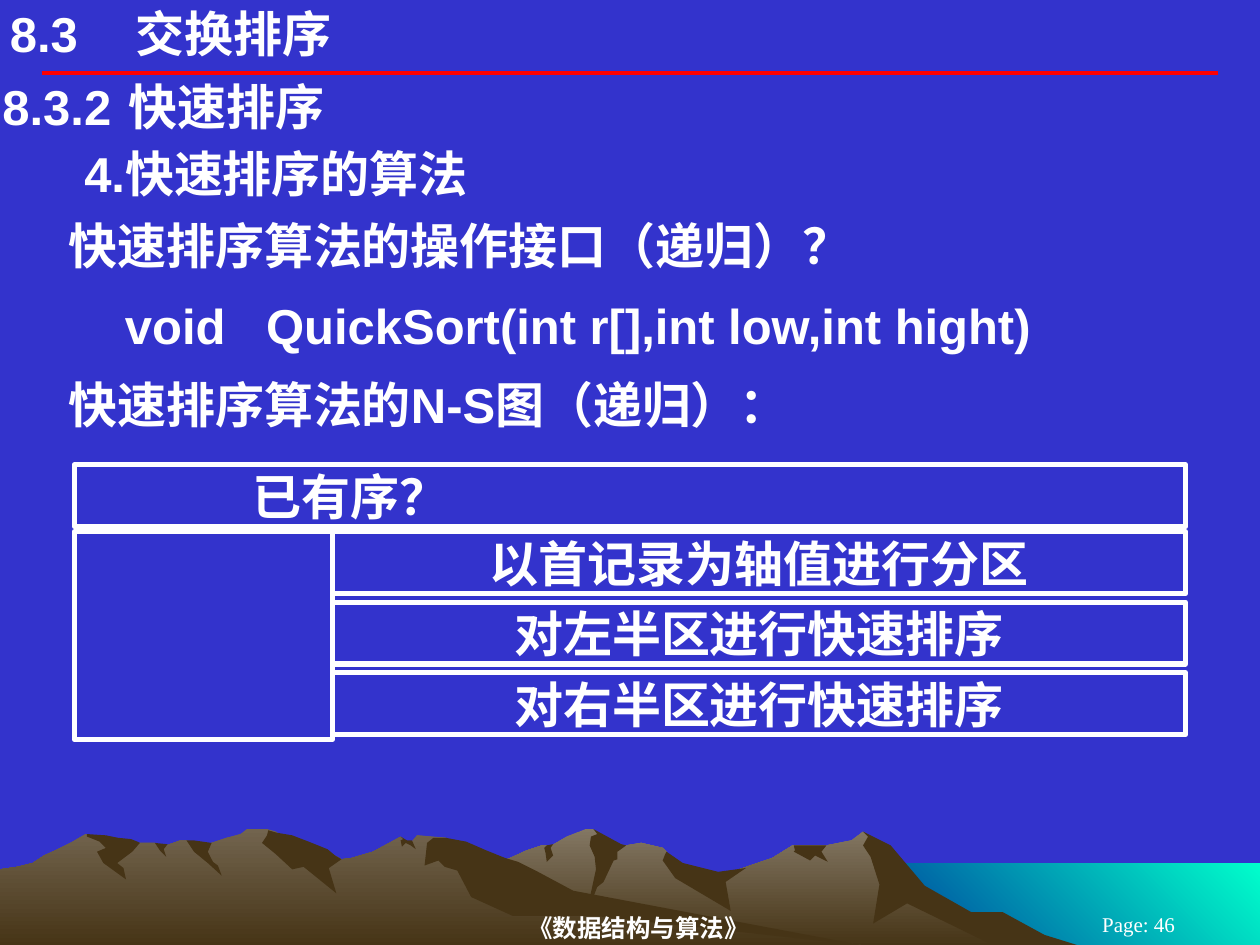
"""Build the quick sort slide with its N-S diagram and mountain footer."""
from lxml import etree
from pptx import Presentation
from pptx import util as u
from pptx.dml.color import RGBColor
from pptx.enum import shapes, text
from pptx.oxml.ns import qn

COLORS = {
    "sky": "3333CC", "white": "FFFFFF", "rule": "FF0000", "shade": "463416",
    "ridge": "72644E", "peak": "837763", "sea": "00FFCC", "deep": "003399",
}
UNIT = u.Cm(2.54) / 100

SEA = [(1000, 752), (683, 752), (683, 685), (1000, 685)]
FAR_RIDGE = [
    (802, 740), (778, 727), (764, 723), (723, 698), (702, 671), (685, 660),
    (676, 667), (656, 671), (629, 671), (613, 681), (566, 697), (536, 690),
    (529, 676), (526, 673), (509, 669), (497, 671), (486, 673), (474, 661),
    (471, 658), (465, 658), (450, 664), (438, 671), (430, 671), (418, 675),
    (405, 681), (394, 685), (355, 698), (327, 709), (277, 739), (258, 751),
    (821, 751),
]
NEAR_RIDGE = [
    (690, 751), (667, 748), (432, 712), (354, 665), (331, 663), (327, 668),
    (323, 668), (318, 664), (296, 676), (279, 681), (271, 682), (260, 676),
    (236, 681), (223, 663), (219, 660), (212, 658), (196, 658), (191, 662),
    (180, 665), (168, 669), (160, 671), (148, 667), (143, 667), (132, 671),
    (128, 671), (123, 669), (111, 669), (94, 671), (68, 662), (56, 669),
    (46, 674), (35, 679), (26, 685), (14, 688), (0, 690), (0, 751),
]
FAR_SHADES = [
    [(796, 724), (771, 724), (734, 703), (707, 671), (685, 660), (689, 664),
     (685, 671), (691, 680), (698, 702), (693, 733), (720, 717), (792, 752),
     (858, 751), (829, 742)],
    [(471, 658), (474, 662), (469, 664), (468, 671), (472, 680), (473, 690),
     (465, 727), (474, 704), (479, 700), (487, 683), (490, 682), (490, 676),
     (497, 671), (493, 670)],
    [(529, 676), (528, 678), (526, 683), (536, 697), (580, 723), (576, 700),
     (592, 689), (570, 692), (542, 685)],
    [(650, 671), (630, 671), (631, 675), (630, 676), (643, 683), (647, 679),
     (657, 684), (652, 676), (656, 671)],
    [(433, 677), (432, 673), (434, 671), (439, 670), (437, 673), (439, 679),
     (434, 684)],
]
NEAR_SHADES = [
    [(212, 663), (208, 669), (219, 678), (232, 690), (241, 688), (267, 709),
     (261, 689), (271, 682), (266, 679), (260, 674), (245, 668), (232, 663),
     (220, 661), (213, 659)],
    [(370, 668), (354, 665), (344, 665), (339, 669), (337, 687), (348, 683),
     (353, 688), (363, 691), (374, 712), (407, 727), (472, 727), (690, 751),
     (683, 750), (455, 707), (427, 692), (411, 684), (401, 681), (386, 675)],
    [(318, 667), (320, 666), (318, 664), (323, 667), (327, 667), (330, 674),
     (326, 671), (322, 669), (319, 672)],
    [(154, 667), (168, 669), (165, 676), (169, 684), (173, 687), (176, 695),
     (165, 685), (154, 676), (148, 667)],
    [(133, 670), (130, 674), (132, 680), (127, 675), (123, 669)],
    [(109, 668), (111, 669), (105, 676), (93, 685), (98, 689), (100, 698),
     (82, 685), (77, 676), (84, 673), (79, 668), (69, 664), (69, 662),
     (84, 663), (94, 665), (104, 666)],
]


def rgb(name):
    """Return the named colour."""
    return RGBColor.from_string(COLORS[name])


def add_outline(s, points, start, end=None, angle=270):
    """Draw a closed outline with a plain or two-colour gradient fill."""
    builder = s.shapes.build_freeform(*points[0], scale=UNIT)
    builder.add_line_segments(points[1:], close=True)
    sp = builder.convert_to_shape()
    sp.shadow.inherit = False
    sp.line.fill.background()
    if end is None:
        sp.fill.solid()
        sp.fill.fore_color.rgb = rgb(start)
        return
    sp.fill.gradient()
    sp.fill.gradient_angle = angle
    for stop, color in zip(sp.fill.gradient_stops, (start, end)):
        stop.color.rgb = rgb(color)


def add_rule(s, x1, x2, y):
    """Draw the horizontal rule below the heading."""
    line = s.shapes.add_connector(
        shapes.MSO_CONNECTOR.STRAIGHT, u.Cm(x1), u.Cm(y), u.Cm(x2), u.Cm(y))
    line.line.color.rgb = rgb("rule")
    line.line.width = u.Pt(2.25)
    etree.SubElement(line._element.spPr, qn("a:effectLst"))


def write(sp, content, size=28, font="Arial", bold=True, align="LEFT",
          inset=(0.05, 0.03), indent=0, tab=None, anchor="TOP"):
    """Put one formatted paragraph into a shape."""
    tf = sp.text_frame
    tf.word_wrap = True
    tf.vertical_anchor = text.MSO_ANCHOR[anchor]
    tf.margin_left = tf.margin_right = u.Cm(inset[0])
    tf.margin_top = tf.margin_bottom = u.Cm(inset[1])
    p = tf.paragraphs[0]
    p.text = content
    p.alignment = text.PP_ALIGN[align]
    pPr = p._p.get_or_add_pPr()
    pPr.set("marL", str(u.Cm(indent)))
    pPr.set("indent", "0")
    if tab:
        tabs = etree.SubElement(pPr, qn("a:tabLst"))
        etree.SubElement(tabs, qn("a:tab"), pos=str(u.Cm(tab)), algn="l")
    for r in p.runs:
        r.font.size = u.Pt(size)
        r.font.name = font
        r.font.bold = bold
        r.font.color.rgb = rgb("white")


def add_text(s, box, content, **style):
    """Add a text box given left, top, width and height."""
    write(s.shapes.add_textbox(*map(u.Cm, box)), content, **style)


def add_cell(s, box, content="", **style):
    """Add one outlined cell of the N-S diagram."""
    sp = s.shapes.add_shape(shapes.MSO_SHAPE.RECTANGLE, *map(u.Cm, box))
    sp.shadow.inherit = False
    sp.fill.background()
    sp.line.color.rgb = rgb("white")
    sp.line.width = u.Pt(3)
    if content:
        write(sp, content, **style)


def add_landscape(s):
    """Draw the sea and the two mountain ridges."""
    add_outline(s, SEA, "sea", "deep", angle=225)
    for ridge, top, shades in ((FAR_RIDGE, "peak", FAR_SHADES),
                               (NEAR_RIDGE, "ridge", NEAR_SHADES)):
        add_outline(s, ridge, top, "shade")
        for points in shades:
            add_outline(s, points, "shade")


def add_diagram(s):
    """Draw the N-S diagram of the recursive quick sort."""
    add_cell(s, (1.5, 9.37, 22.4, 1.25), "已有序？", indent=3.54)
    add_cell(s, (1.5, 10.72, 5.2, 4.19))
    steps = ("以首记录为轴值进行分区", "对左半区进行快速排序", "对右半区进行快速排序")
    for i, step in enumerate(steps):
        add_cell(s, (6.7, 10.72 + 1.42 * i, 17.2, 1.25), step, align="CENTER")


def main():
    """Build and save the slide."""
    prs = Presentation()
    prs.slide_width, prs.slide_height = u.Cm(25.4), u.Cm(19.05)
    s = prs.slides.add_slide(prs.slide_layouts[6])
    s.background.fill.solid()
    s.background.fill.fore_color.rgb = rgb("sky")

    add_landscape(s)
    add_rule(s, 0.84, 24.56, 1.47)
    footer = {"font": "Times New Roman", "align": "CENTER", "anchor": "MIDDLE"}
    add_text(s, (5.18, 18.34, 15.39, 0.71), "《数据结构与算法》",
             size=14, inset=(0, 0.03), **footer)
    add_text(s, (20.95, 18.42, 4.01, 0.43), "Page: 46",
             size=12, bold=False, inset=(0.25, 0.13), **footer)

    add_text(s, (0.2, 0.08, 16.51, 1.19), "8.3\t交换排序", inset=(0, 0), tab=2.15)
    lines = (
        (1.52, "8.3.2\t快速排序", {"tab": 3.22}),
        (2.87, "4.快速排序的算法", {"indent": 1.65}),
        (4.32, "快速排序算法的操作接口（递归）？", {"indent": 1.33}),
        (5.92, "void   QuickSort(int r[],int low,int hight)", {"indent": 2.47}),
        (7.52, "快速排序算法的N-S图（递归）：", {"indent": 1.33}),
    )
    for top, content, style in lines:
        add_text(s, (0, top, 25.4, 1.25), content, **style)
    add_diagram(s)
    prs.save("out.pptx")


if __name__ == "__main__":
    main()
